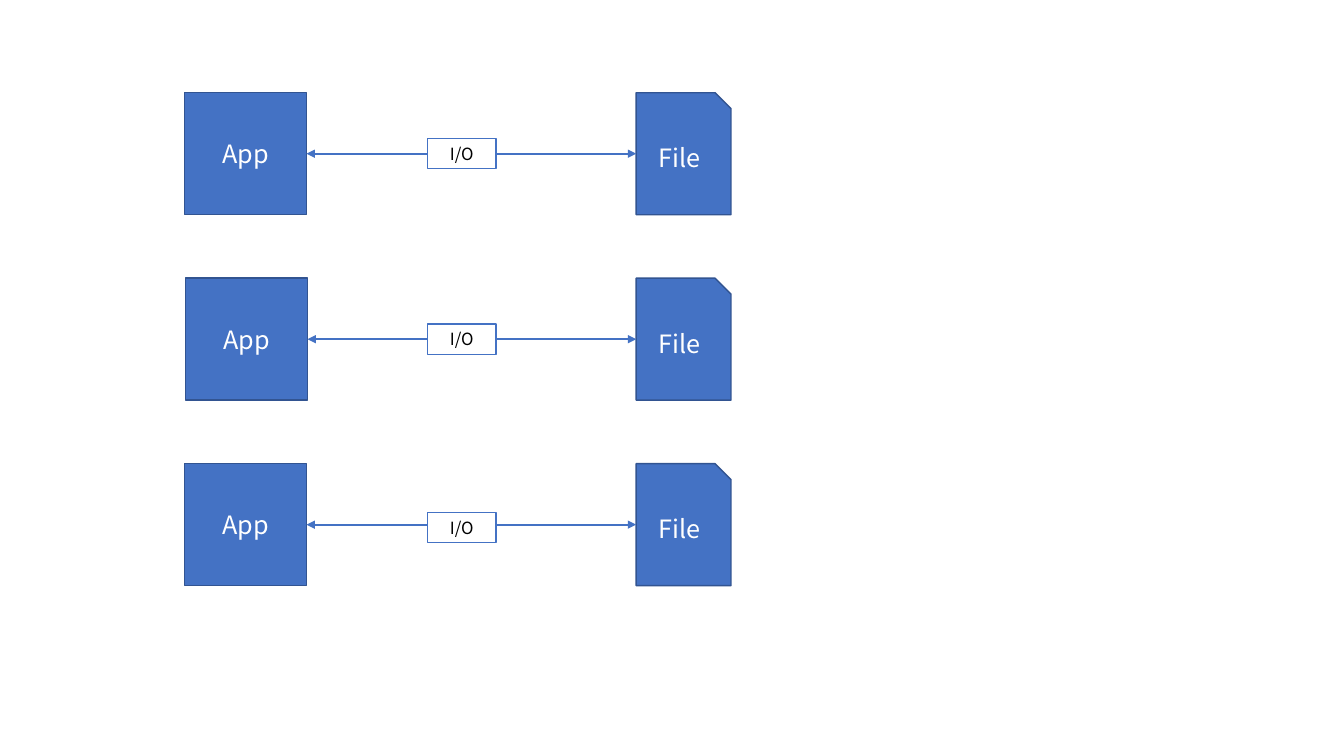
from dataclasses import dataclass

from lxml.etree import SubElement
from pptx import Presentation
from pptx.dml.color import RGBColor
from pptx.enum.shapes import MSO_CONNECTOR, MSO_SHAPE
from pptx.enum.text import MSO_ANCHOR, PP_ALIGN
from pptx.oxml.ns import qn
from pptx.util import Inches, Pt


@dataclass(frozen=True)
class Theme:
    font: str = "Noto Sans CJK KR"
    blue: str = "4472C4"
    outline: str = "325491"
    white: str = "FFFFFF"
    black: str = "000000"
    node_size: int = 18
    label_size: int = 12
    border: float = 1
    arrow: float = 1.5


THEME = Theme()

# Row layout, in inches
FIRST_TOP, ROW_STEP = 0.92, 1.84
NODE_HEIGHT, APP_WIDTH = 1.21, 1.21
FILE_LEFT, FILE_WIDTH = 6.31, 0.94
LABEL_LEFT, LABEL_WIDTH, LABEL_HEIGHT = 4.24, 0.68, 0.3
# Left edge of the app and downward shift of the label in each row
ROWS = [(1.83, 0), (1.84, 0), (1.83, 0.03)]


def add_box(slide, kind, box, text, fill, line, color, size):
    shape = slide.shapes.add_shape(kind, *map(Inches, box))
    shape.shadow.inherit = False
    shape.fill.solid()
    shape.fill.fore_color.rgb = RGBColor.from_string(fill)
    shape.line.color.rgb = RGBColor.from_string(line)
    shape.line.width = Pt(THEME.border)
    frame = shape.text_frame
    frame.word_wrap = True
    frame.vertical_anchor = MSO_ANCHOR.MIDDLE
    paragraph = frame.paragraphs[0]
    paragraph.alignment = PP_ALIGN.CENTER
    run = paragraph.add_run()
    run.text = text
    run.font.name = THEME.font
    run.font.size = Pt(size)
    run.font.color.rgb = RGBColor.from_string(color)
    return shape


def add_node(slide, kind, box, text):
    return add_box(slide, kind, box, text, THEME.blue, THEME.outline,
                   THEME.white, THEME.node_size)


def add_label(slide, box, text):
    return add_box(slide, MSO_SHAPE.RECTANGLE, box, text, THEME.white,
                   THEME.blue, THEME.black, THEME.label_size)


def add_double_arrow(slide, start, end, middle):
    connector = slide.shapes.add_connector(
        MSO_CONNECTOR.STRAIGHT, *map(Inches, (start, middle, end, middle)))
    connector.line.color.rgb = RGBColor.from_string(THEME.blue)
    connector.line.width = Pt(THEME.arrow)
    line = connector.line._get_or_add_ln()
    for name in ("a:headEnd", "a:tailEnd"):
        SubElement(line, qn(name), type="triangle")
    SubElement(connector._element.spPr, qn("a:effectLst"))
    return connector


def add_row(slide, top, app_left, label_shift):
    middle = top + NODE_HEIGHT / 2
    add_node(slide, MSO_SHAPE.RECTANGLE,
             (app_left, top, APP_WIDTH, NODE_HEIGHT), "App")
    add_node(slide, MSO_SHAPE.SNIP_1_RECTANGLE,
             (FILE_LEFT, top, FILE_WIDTH, NODE_HEIGHT), "File")
    add_double_arrow(slide, app_left + APP_WIDTH, FILE_LEFT, middle)
    label_top = middle - LABEL_HEIGHT / 2 + label_shift
    add_label(slide, (LABEL_LEFT, label_top, LABEL_WIDTH, LABEL_HEIGHT), "I/O")


def main():
    presentation = Presentation()
    presentation.slide_width = Inches(13.33)
    presentation.slide_height = Inches(7.5)
    slide = presentation.slides.add_slide(presentation.slide_layouts[6])

    # One app and its file per row
    for index, (app_left, label_shift) in enumerate(ROWS):
        add_row(slide, FIRST_TOP + index * ROW_STEP, app_left, label_shift)

    presentation.save("out.pptx")


main()
